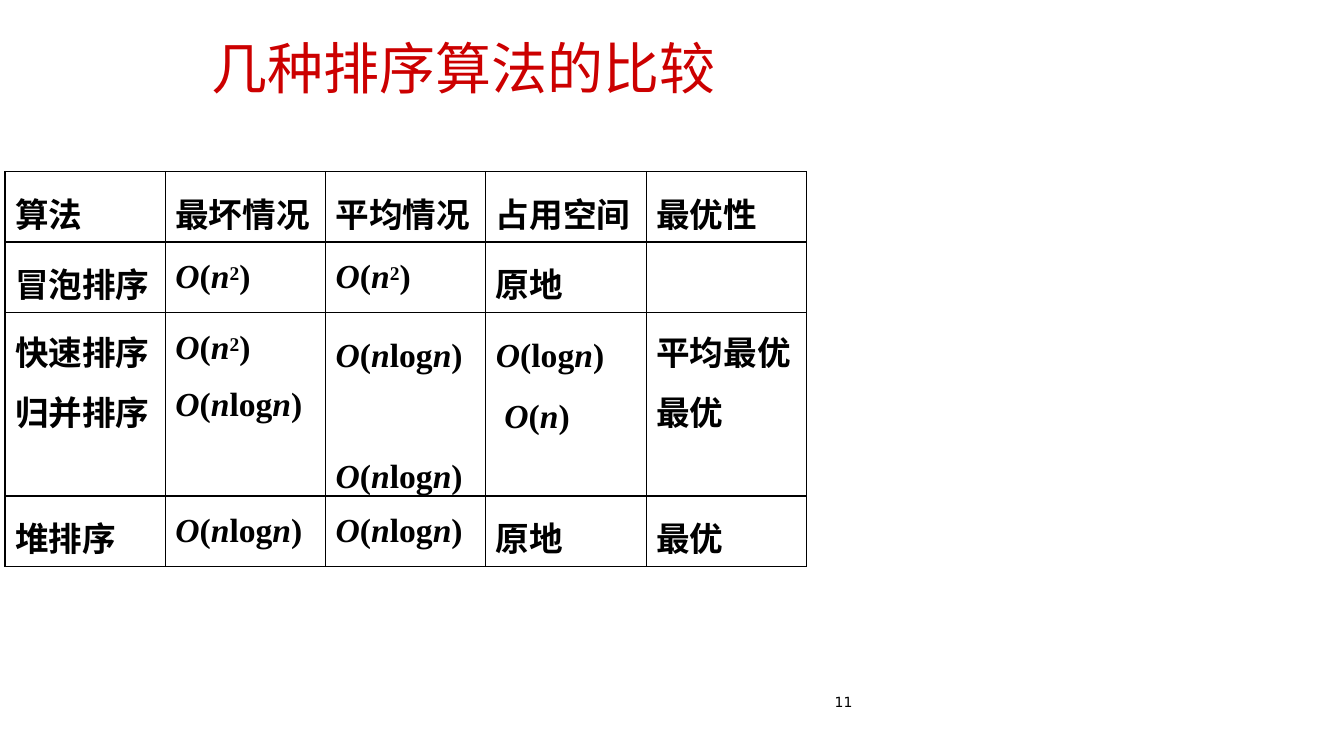
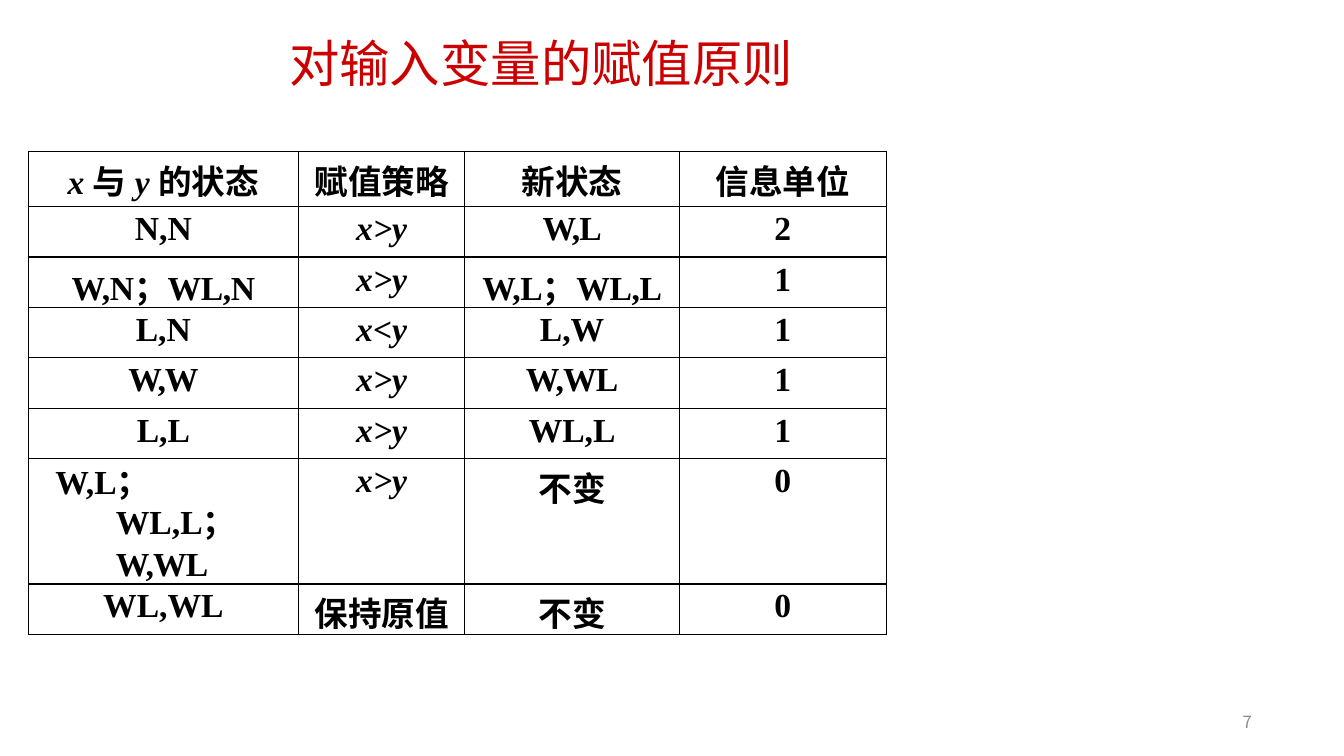
from dataclasses import dataclass
from itertools import groupby

from lxml.etree import SubElement
from pptx import Presentation
from pptx.dml.color import RGBColor
from pptx.enum.text import MSO_ANCHOR as Anchor, MSO_AUTO_SIZE as AutoSize, PP_ALIGN as Align
from pptx.oxml.ns import qn
from pptx.util import Pt

BLACK = RGBColor(0x00, 0x00, 0x00)
RED = RGBColor(0xCC, 0x00, 0x00)
GRAY = RGBColor(0x8C, 0x8C, 0x8C)

LATIN_FONT = "Times New Roman"
CHINESE_FONT = "Noto Sans CJK TC"
TITLE_FONT = "Noto Sans CJK SC"
NUMBER_FONT = "DejaVu Sans"

TABLE_SIZE = 24
BORDER_WIDTH = 1
MATH_SYMBOLS = "Onxy<>"
SUPERSCRIPTS = {"²": "2"}


@dataclass(frozen=True)
class TextStyle:
    font: str
    size: float
    color: RGBColor = BLACK
    bold: bool = False
    italic: bool = False
    raised: bool = False


@dataclass(frozen=True)
class Line:
    text: str
    tracking: float = 0
    left: float = 0
    before: float = 0
    pitch: float | None = None


@dataclass(frozen=True)
class Cell:
    lines: tuple[Line, ...]
    inset: float | None = None
    align: Align | None = None


@dataclass(frozen=True)
class Grid:
    left: float
    top: float
    columns: tuple[float, ...]
    rows: tuple[float, ...]
    inset: float
    indent: float
    align: Align
    cells: tuple[tuple[str | Line | Cell, ...], ...]


@dataclass(frozen=True)
class Label:
    text: str
    left: float
    top: float
    width: float
    height: float
    style: TextStyle
    align: Align = Align.LEFT
    anchor: Anchor = Anchor.MIDDLE


@dataclass(frozen=True)
class Page:
    title: Label
    number: Label
    grid: Grid


def title_label(text: str, left: float, top: float, height: float, size: float) -> Label:
    return Label(text, left, top, 362.2, height, TextStyle(TITLE_FONT, size, RED))


def paired(first: str, second: str, gap: float = 0, left: float = 0) -> Cell:
    """Two results that share one row, set at a fixed line pitch."""
    return Cell((Line(first, pitch=43.2), Line(second, left=left, before=gap, pitch=43.2)), inset=1.44)


SORTING = Page(
    title_label("几种排序算法的比较", 151.2, 22.3, 49.7, 40),
    Label("11", 596.2, 494.6, 14.4, 14.4, TextStyle(NUMBER_FONT, 10), anchor=Anchor.TOP),
    Grid(
        3.6, 122.4, (114.5,) * 5, (50.4, 50.4, 93.6, 50.4), 12, 7.2, Align.LEFT,
        (
            ("算法", "最坏情况", "平均情况", "占用空间", "最优性"),
            ("冒泡排序", "O(n²)", "O(n²)", "原地", ""),
            (
                paired("快速排序", "归并排序"),
                Cell((Line("O(n²)"), Line("O(nlogn)", before=14.4))),
                paired("O(nlogn)", "O(nlogn)", gap=43.2),
                paired("O(logn)", "O(n)", left=6),
                paired("平均最优", "最优"),
            ),
            ("堆排序", "O(nlogn)", "O(nlogn)", "原地", "最优"),
        ),
    ),
)

ASSIGNMENT = Page(
    title_label("对输入变量的赋值原则", 206.6, 21.6, 45.4, 36),
    Label("7", 678.2, 500.4, 216, 28.8, TextStyle(TITLE_FONT, 12, GRAY), Align.RIGHT),
    Grid(
        20.2, 108, (193, 118.8, 153.4, 147.6), (39.6,) + (36,) * 5 + (64.8, 36), 2.9, 0, Align.CENTER,
        (
            ("x 与 y 的状态", "赋值策略", "新状态", "信息单位"),
            ("N,N", "x>y", Line("W,L", -0.8), "2"),
            (Line("W,N；WL,N", -0.3), "x>y", Line("W,L；WL,L", -0.3), "1"),
            ("L,N", "x<y", "L,W", "1"),
            (Line("W,W", -0.8), "x>y", Line("W,WL", -0.6), "1"),
            ("L,L", "x>y", "WL,L", "1"),
            (
                Cell(
                    (
                        Line("W,L；", left=19.4, pitch=28.4),
                        Line("WL,L；", left=62.6, pitch=28.4),
                        Line("W,WL", -0.6, left=62.6, pitch=28.4),
                    ),
                    inset=4.3,
                    align=Align.LEFT,
                ),
                "x>y", "不变", "0",
            ),
            ("WL,WL", "保持原值", "不变", "0"),
        ),
    ),
)


def character_style(character: str) -> TextStyle:
    """Chinese is upright, variables are italic, exponents are raised."""
    chinese = ord(character) >= 0x2E80
    return TextStyle(
        CHINESE_FONT if chinese else LATIN_FONT,
        TABLE_SIZE,
        bold=True,
        italic=character in MATH_SYMBOLS,
        raised=character in SUPERSCRIPTS,
    )


def add_run(paragraph, text: str, style: TextStyle, tracking: float = 0) -> None:
    run = paragraph.add_run()
    run.text = text
    font = run.font
    font.name, font.size = style.font, Pt(style.size)
    font.bold, font.italic = style.bold, style.italic
    font.color.rgb = style.color
    properties = run._r.get_or_add_rPr()
    SubElement(properties, qn("a:ea")).set("typeface", style.font)
    if tracking:
        properties.set("spc", str(round(tracking * 100)))
    if style.raised:
        properties.set("baseline", "24000")


def add_label(slide, label: Label) -> None:
    box = slide.shapes.add_textbox(Pt(label.left), Pt(label.top), Pt(label.width), Pt(label.height))
    frame = box.text_frame
    frame.word_wrap = True
    frame.auto_size = AutoSize.SHAPE_TO_FIT_TEXT
    frame.vertical_anchor = label.anchor
    frame.margin_left = frame.margin_right = frame.margin_bottom = 0
    frame.margin_top = Pt(1)
    paragraph = frame.paragraphs[0]
    paragraph.alignment = label.align
    add_run(paragraph, label.text, label.style)


def add_borders(cell) -> None:
    properties = cell._tc.get_or_add_tcPr()
    for side in ("lnL", "lnR", "lnT", "lnB"):
        line = SubElement(properties, qn(f"a:{side}"))
        line.set("w", str(Pt(BORDER_WIDTH)))
        fill = SubElement(line, qn("a:solidFill"))
        SubElement(fill, qn("a:srgbClr")).set("val", str(BLACK))


def as_cell(content: str | Line | Cell) -> Cell:
    if isinstance(content, Cell):
        return content
    return Cell((content if isinstance(content, Line) else Line(content),))


def fill_cell(table_cell, content: Cell, grid: Grid) -> None:
    table_cell.margin_left = table_cell.margin_right = table_cell.margin_bottom = 0
    table_cell.margin_top = Pt(grid.inset if content.inset is None else content.inset)
    add_borders(table_cell)
    table_cell.fill.background()
    frame = table_cell.text_frame
    for index, line in enumerate(content.lines):
        paragraph = frame.add_paragraph() if index else frame.paragraphs[0]
        paragraph.alignment = grid.align if content.align is None else content.align
        paragraph.space_before = Pt(line.before)
        if line.pitch:
            paragraph.line_spacing = Pt(line.pitch)
        paragraph._p.get_or_add_pPr().set("marL", str(Pt(grid.indent + line.left)))
        for style, characters in groupby(line.text, character_style):
            text = "".join(SUPERSCRIPTS.get(character, character) for character in characters)
            add_run(paragraph, text, style, line.tracking)


def add_grid(slide, grid: Grid) -> None:
    table = slide.shapes.add_table(
        len(grid.rows), len(grid.columns),
        Pt(grid.left), Pt(grid.top), Pt(sum(grid.columns)), Pt(sum(grid.rows)),
    ).table
    table.first_row = table.horz_banding = False
    for column, width in zip(table.columns, grid.columns):
        column.width = Pt(width)
    for row, height, contents in zip(table.rows, grid.rows, grid.cells):
        row.height = Pt(height)
        for table_cell, content in zip(row.cells, contents):
            fill_cell(table_cell, as_cell(content), grid)


def main() -> None:
    presentation = Presentation()
    presentation.slide_width, presentation.slide_height = Pt(960), Pt(540)
    blank_layout = presentation.slide_layouts[6]
    for page in (SORTING, ASSIGNMENT):
        slide = presentation.slides.add_slide(blank_layout)
        add_label(slide, page.title)
        add_label(slide, page.number)
        add_grid(slide, page.grid)
    presentation.save("out.pptx")


if __name__ == "__main__":
    main()
